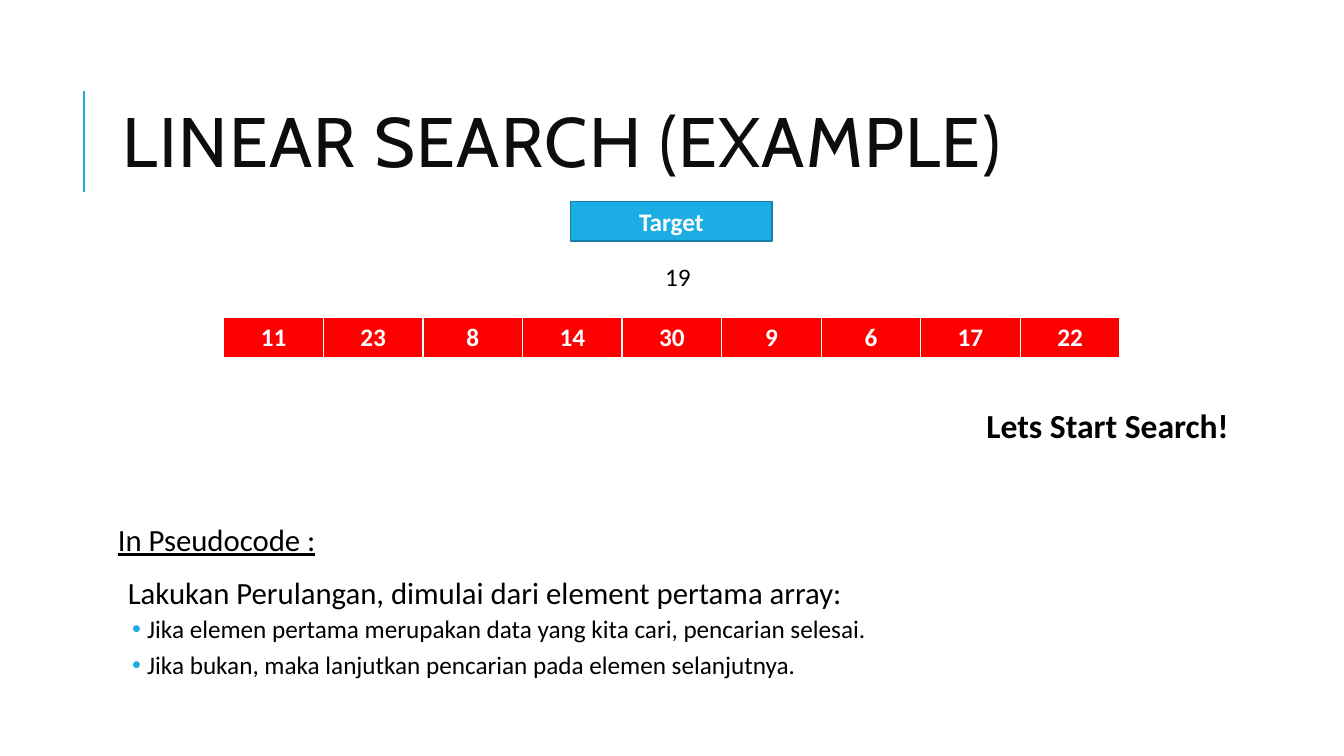
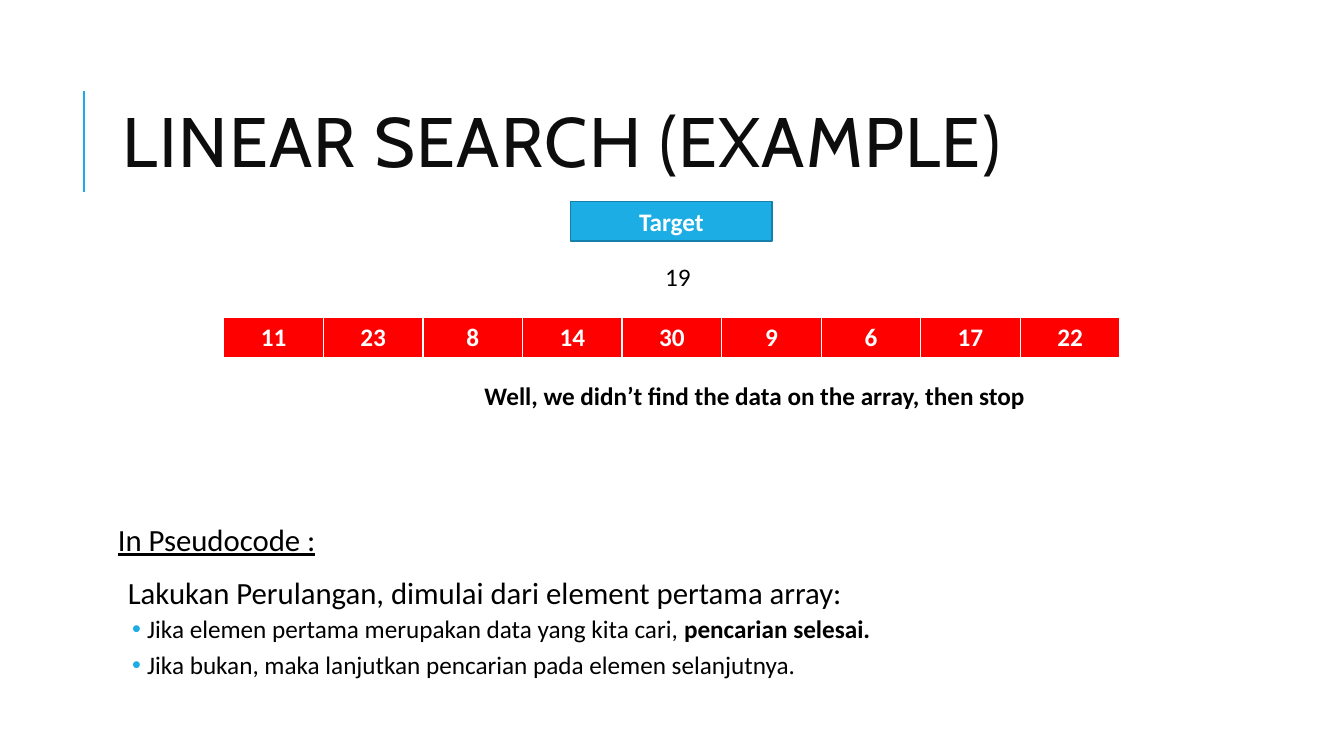
from lxml.etree import SubElement
from pptx import Presentation
from pptx.dml.color import RGBColor
from pptx.enum.shapes import MSO_CONNECTOR as Connector, MSO_SHAPE as Preset
from pptx.enum.text import MSO_ANCHOR as Anchor, MSO_AUTO_SIZE as AutoSize, PP_ALIGN as Align
from pptx.oxml.ns import qn
from pptx.util import Cm, Pt

TITLE = "LINEAR SEARCH (EXAMPLE)"
TARGET = "19"
NUMBERS = [11, 23, 8, 14, 30, 9, 6, 17, 22]
HEADING = "In Pseudocode :"
INTRO = "Lakukan Perulangan, dimulai dari element pertama array:"
FOUND = "Jika elemen pertama merupakan data yang kita cari, "
DONE = "pencarian selesai."
OTHERWISE = "Jika bukan, maka lanjutkan pencarian pada elemen selanjutnya."

# remark box is left, top, width, height in cm
SLIDES = [
    {"remark": "Lets Start Search!", "box": (24.31, 10.08, 7.21, 1.27),
     "size": 24, "wrap": True, "bold_done": False},
    {"remark": "Well, we didn’t find the data on the array, then stop",
     "box": (11.96, 9.47, 14.25, 1.02),
     "size": 18, "wrap": False, "bold_done": True},
]

BLUE, DARK_BLUE, RED = "1CADE4", "1580A9", "FF0000"
WHITE, BLACK, INK = "FFFFFF", "000000", "0D0D0D"
TITLE_FONT, TEXT_FONT = "Cabin", "Calibri"
TITLE_BOX = (2.84, 1.63, 27, 4.17)
BODY_BOX = (2.84, 13.1, 27, 4.43)
TARGET_BOX = (14.38, 5.08, 5.08, 0.99)
VALUE_BOX = (16.51, 6.45, 1.17, 1.02)
COLUMN_WIDTH, ROW_HEIGHT = 2.51, 1.04
TABLE_BOX = (5.64, 8, COLUMN_WIDTH * len(NUMBERS), ROW_HEIGHT)
BORDERS = {"a:lnL": 1, "a:lnR": 1, "a:lnT": 1, "a:lnB": 3}


def color(value):
    return RGBColor.from_string(value)


def cm(lengths):
    return [Cm(length) for length in lengths]


def add_run(para, text, size, ink=BLACK, font=TEXT_FONT, bold=False):
    span = para.add_run()
    span.text = text
    span.font.size, span.font.name, span.font.bold = Pt(size), font, bold
    span.font.color.rgb = color(ink)
    return span


def prepare_layout(layout, line):
    """Place the shared placeholders and move the accent line to the layout."""
    for holder, lengths in zip(layout.placeholders, (TITLE_BOX, BODY_BOX)):
        holder.left, holder.top, holder.width, holder.height = cm(lengths)
    line.line.color.rgb = color(BLUE)
    line.line.width = Pt(1.5)
    SubElement(line.element.spPr, qn("a:effectLst"))
    line.element.xpath("./p:nvCxnSpPr/p:cNvPr")[0].set("id", "99")
    layout.shapes.element.append(line.element)


def write_title(holder):
    frame = holder.text_frame
    frame.auto_size, frame.vertical_anchor = AutoSize.NONE, Anchor.MIDDLE
    para = frame.paragraphs[0]
    para.alignment, para.line_spacing = Align.LEFT, 0.8
    span = add_run(para, TITLE, 50, INK, TITLE_FONT)
    span.font.element.set("spc", "100") if hasattr(span.font, "element") else \
        para.runs[0].font.fill and para.runs[0]._r.get_or_add_rPr().set("spc", "100")


def format_body_paragraph(para, before, after, margin, hanging=0, bullet=None):
    para.line_spacing = 0.9
    para.space_before, para.space_after = Pt(before), Pt(after)
    props = para._p.get_or_add_pPr()
    props.set("marL", str(Cm(margin)))
    props.set("indent", str(-Cm(hanging)))
    if bullet:
        paint = SubElement(props, qn("a:buClr"))
        SubElement(paint, qn("a:srgbClr"), val=BLUE)
        SubElement(props, qn("a:buChar"), char=bullet)
    else:
        SubElement(props, qn("a:buNone"))


def write_body(holder, bold_done):
    frame = holder.text_frame
    frame.auto_size, frame.vertical_anchor = AutoSize.NONE, Anchor.TOP
    frame.margin_left = frame.margin_right = Cm(0.13)
    frame.margin_top = frame.margin_bottom = Cm(0.13)

    heading = frame.paragraphs[0]
    format_body_paragraph(heading, 0, 2, 0)
    add_run(heading, HEADING, 22).font.underline = True

    intro = frame.add_paragraph()
    format_body_paragraph(intro, 12, 2, 0.25)
    add_run(intro, INTRO, 22)

    for parts in ([(FOUND, False), (DONE, bold_done)], [(OTHERWISE, False)]):
        para = frame.add_paragraph()
        para.level = 1
        format_body_paragraph(para, 2, 4, 0.74, 0.38, "•")
        for text, bold in parts:
            add_run(para, text, 18, bold=bold)


def add_label(page, text, lengths, size, wrap=False, bold=False):
    frame = page.shapes.add_textbox(*cm(lengths)).text_frame
    frame.word_wrap, frame.auto_size = wrap, AutoSize.SHAPE_TO_FIT_TEXT
    para = frame.paragraphs[0]
    para.alignment = Align.CENTER if wrap else Align.LEFT
    add_run(para, text, size, bold=bold)


def add_target(page):
    box = page.shapes.add_shape(Preset.RECTANGLE, *cm(TARGET_BOX))
    box.shadow.inherit = False
    box.fill.solid()
    box.fill.fore_color.rgb = color(BLUE)
    box.line.color.rgb = color(DARK_BLUE)
    box.line.width = Pt(1.25)
    box.text_frame.vertical_anchor = Anchor.MIDDLE
    para = box.text_frame.paragraphs[0]
    para.alignment = Align.CENTER
    add_run(para, "Target", 18, WHITE, bold=True)
    add_label(page, TARGET, VALUE_BOX, 18)


def add_array(page):
    table = page.shapes.add_table(1, len(NUMBERS), *cm(TABLE_BOX)).table
    for column, number in enumerate(NUMBERS):
        table.columns[column].width = Cm(COLUMN_WIDTH)
        cell = table.cell(0, column)
        para = cell.text_frame.paragraphs[0]
        para.alignment = Align.CENTER
        add_run(para, str(number), 18, WHITE, bold=True)
        props = cell._tc.get_or_add_tcPr()
        for tag, width in BORDERS.items():
            border = SubElement(props, qn(tag), w=str(Pt(width)))
            paint = SubElement(border, qn("a:solidFill"))
            SubElement(paint, qn("a:srgbClr"), val=WHITE)
        cell.fill.solid()
        cell.fill.fore_color.rgb = color(RED)


def main():
    deck = Presentation()
    deck.slide_width, deck.slide_height = Cm(33.87), Cm(19.05)
    layout = deck.slide_layouts[1]
    for number, content in enumerate(SLIDES):
        page = deck.slides.add_slide(layout)
        if number == 0:
            ends = cm((2.11, 4.83, 2.11, 2.29))
            prepare_layout(layout, page.shapes.add_connector(Connector.STRAIGHT, *ends))
        write_title(page.shapes.title)
        write_body(page.placeholders[1], content["bold_done"])
        add_target(page)
        add_array(page)
        add_label(page, content["remark"], content["box"], content["size"],
                  content["wrap"], bold=True)
    deck.save("out.pptx")


if __name__ == "__main__":
    main()
